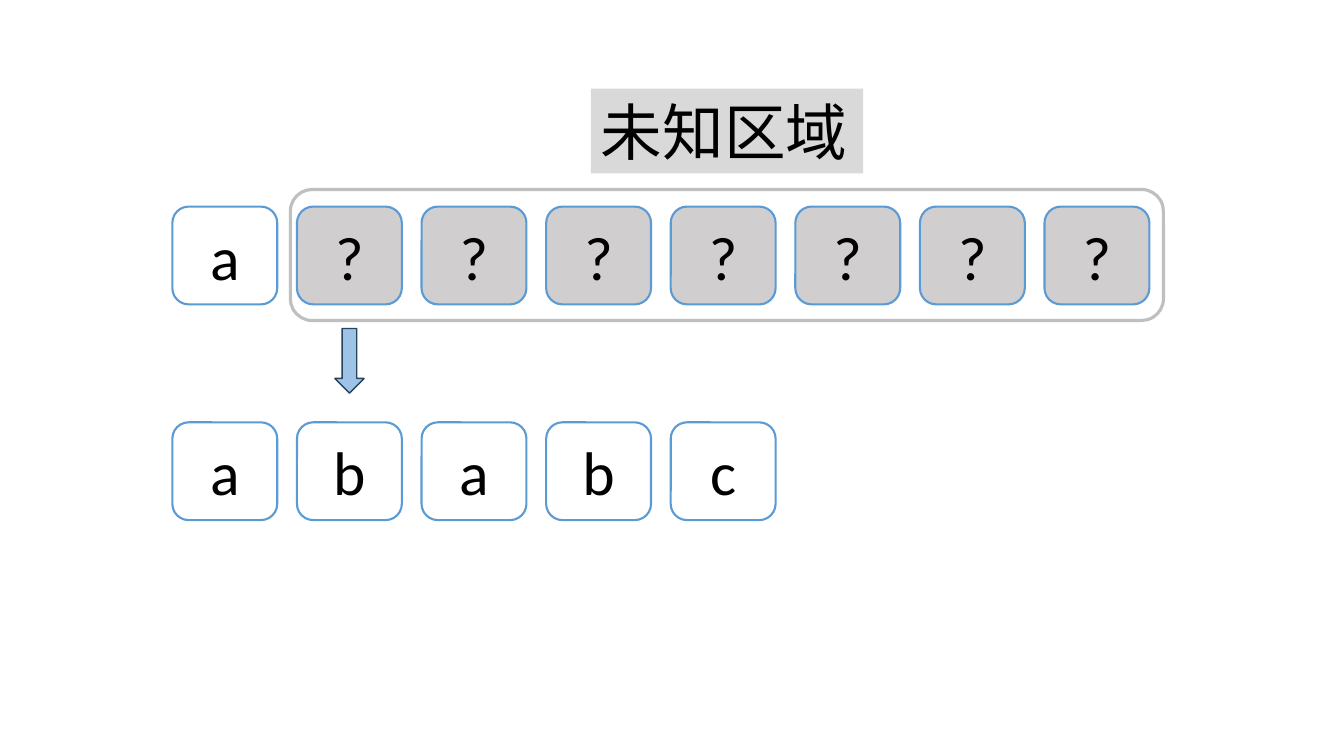
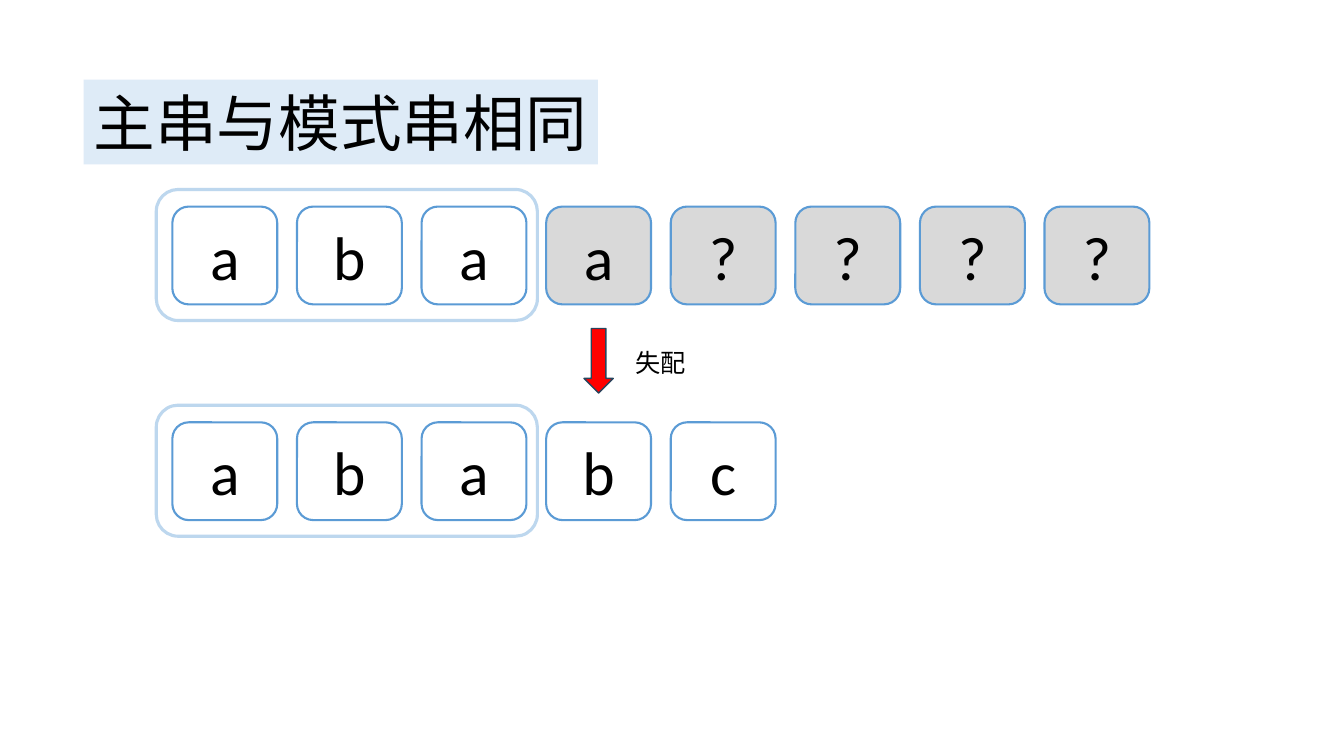
"""Build two slides that show string matching between a main string and a pattern."""
import pptx
import pptx.util
import pptx.dml.color
import pptx.enum.shapes
import pptx.enum.text

Inches = pptx.util.Inches
SHAPE = pptx.enum.shapes.MSO_SHAPE
ALIGN = pptx.enum.text.PP_ALIGN
ANCHOR = pptx.enum.text.MSO_ANCHOR

FONT = "Calibri"
COLORS = {
    "white": "FFFFFF", "text": "000000", "cell_line": "5B9BD5",
    "unknown_warm": "D0CECE", "unknown": "D9D9D9", "frame_gray": "BFBFBF",
    "frame_blue": "BDD7EE", "title_blue": "DEEBF7", "arrow_blue": "9DC3E6",
    "arrow_red": "FF0000", "arrow_line": "28445D",
}
PATTERN = "ababc"
SLIDES = [
    {"title": "未知区域", "title_box": (5.86, 0.88, 2.7, 0.84), "title_fill": "unknown",
     "main": "a???????", "known": 1, "unknown_fill": "unknown_warm",
     "arrow_cell": 1, "arrow_fill": "arrow_blue",
     "frame_x": (2.88, 8.66), "framed_rows": ["main"], "frame_line": "frame_gray"},
    {"title": "主串与模式串相同", "title_box": (0.83, 0.79, 5.1, 0.84), "title_fill": "title_blue",
     "main": "abaa????", "known": 3, "unknown_fill": "unknown",
     "arrow_cell": 3, "arrow_fill": "arrow_red",
     "frame_x": (1.55, 3.78), "framed_rows": ["main", "pattern"], "frame_line": "frame_blue",
     "note": "失配", "note_box": (6.2, 3.4, 0.71, 0.4)},
]
ROW_TOP = {"main": 2.05, "pattern": 4.19}
ROW_LEFT, ROW_RIGHT, COLUMNS = 1.71, 11.4, 8
CELL_W, CELL_H = 1.04, 0.97
PITCH = (ROW_RIGHT - ROW_LEFT - CELL_W) / (COLUMNS - 1)
FRAME_PAD, FRAME_H = 0.17, 1.3
ARROW_TOP, ARROW_W, ARROW_H = 3.26, 0.29, 0.64


def rgb(name):
    return pptx.dml.color.RGBColor.from_string(COLORS[name])


def cell_left(column):
    return ROW_LEFT + column * PITCH


def set_fill(sp, name):
    sp.fill.solid()
    sp.fill.fore_color.rgb = rgb(name)


def set_text(sp, text, size=44, align=ALIGN.LEFT, anchor=ANCHOR.TOP):
    tf = sp.text_frame
    tf.word_wrap = True
    tf.auto_size = pptx.enum.text.MSO_AUTO_SIZE.NONE
    tf.vertical_anchor = anchor
    p = tf.paragraphs[0]
    p.alignment = align
    r = p.add_run()
    r.text = text
    r.font.name = FONT
    r.font.size = pptx.util.Pt(size)
    r.font.color.rgb = rgb("text")


def add_shape(shapes, kind, box, line, weight, fill=None):
    sp = shapes.add_shape(kind, *map(Inches, box))
    sp.shadow.inherit = False
    if fill:
        set_fill(sp, fill)
    else:
        sp.fill.background()
    sp.line.color.rgb = rgb(line)
    sp.line.width = pptx.util.Pt(weight)
    return sp


def add_row(s, letters, top, known, unknown_fill):
    group = s.shapes.add_group_shape()
    for column, letter in enumerate(letters):
        fill = "white" if column < known else unknown_fill
        sp = add_shape(group.shapes, SHAPE.ROUNDED_RECTANGLE,
                       (cell_left(column), top, CELL_W, CELL_H), "cell_line", 1.5, fill)
        set_text(sp, letter, align=ALIGN.CENTER, anchor=ANCHOR.MIDDLE)


def add_title(s, text, box, fill):
    sp = s.shapes.title
    sp.left, sp.top, sp.width, sp.height = map(Inches, box)
    set_fill(sp, fill)
    set_text(sp, text)


def add_note(s, text, box):
    sp = s.shapes.add_textbox(*map(Inches, box))
    set_fill(sp, "white")
    set_text(sp, text, size=18)


def build_slide(prs, data):
    s = prs.slides.add_slide(prs.slide_layouts[5])
    add_title(s, data["title"], data["title_box"], data["title_fill"])
    add_row(s, data["main"], ROW_TOP["main"], data["known"], data["unknown_fill"])
    add_row(s, PATTERN, ROW_TOP["pattern"], len(PATTERN), data["unknown_fill"])
    arrow_left = cell_left(data["arrow_cell"]) + (CELL_W - ARROW_W) / 2
    add_shape(s.shapes, SHAPE.DOWN_ARROW, (arrow_left, ARROW_TOP, ARROW_W, ARROW_H),
              "arrow_line", 1, data["arrow_fill"])
    left, width = data["frame_x"]
    for row in data["framed_rows"]:
        add_shape(s.shapes, SHAPE.ROUNDED_RECTANGLE,
                  (left, ROW_TOP[row] - FRAME_PAD, width, FRAME_H), data["frame_line"], 2.25)
    if "note" in data:
        add_note(s, data["note"], data["note_box"])


def main():
    prs = pptx.Presentation()
    prs.slide_width, prs.slide_height = Inches(13.33), Inches(7.5)
    for data in SLIDES:
        build_slide(prs, data)
    prs.save("out.pptx")


if __name__ == "__main__":
    main()
